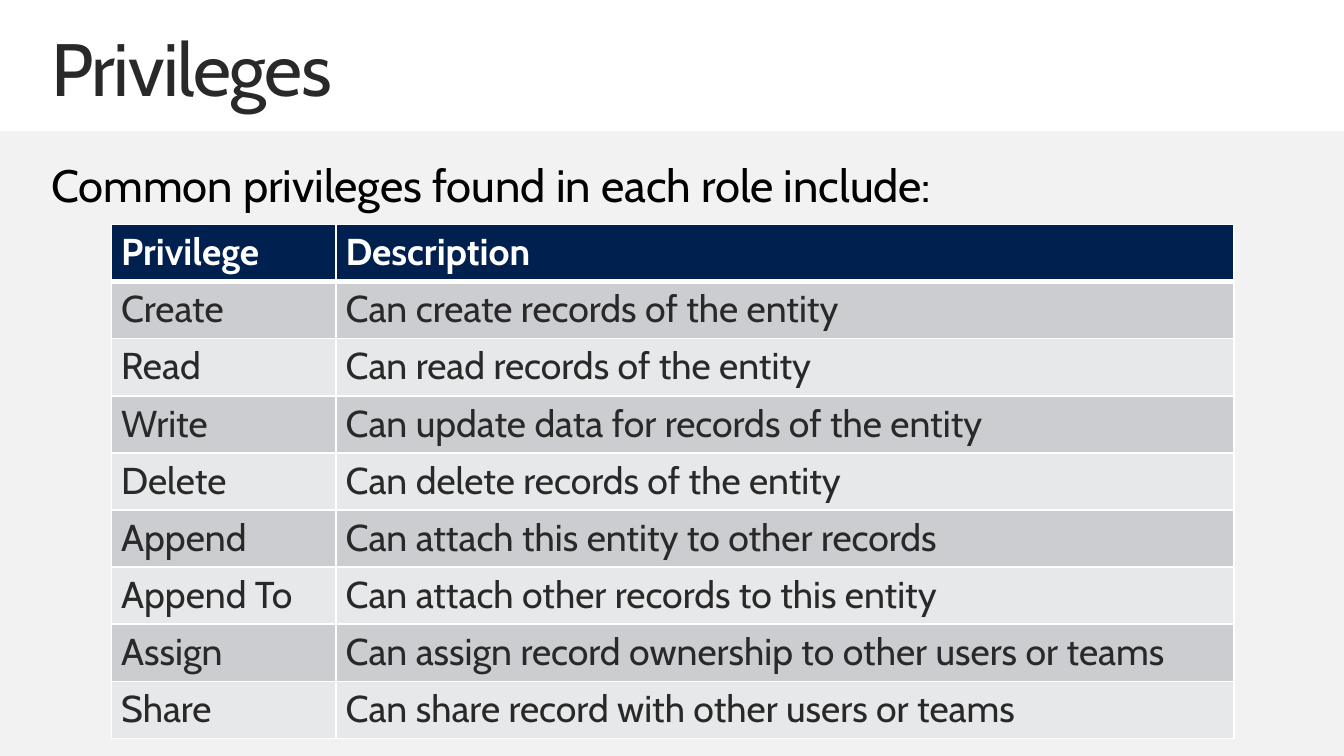
from dataclasses import dataclass
from typing import Any

from lxml import etree
from pptx import Presentation
from pptx import util as u
from pptx.dml.color import RGBColor
from pptx.enum import shapes, text
from pptx.oxml import ns

COLOURS = {
    "white": "FFFFFF",
    "panel": "F2F2F2",
    "ink": "292929",
    "black": "000000",
    "header": "002050",
    "odd": "CCCDD0",
    "even": "E7E8E9",
}
FONT = "Cabin"
COLUMN_WIDTHS = (4.24, 16.97)
ROW_HEIGHT = 1.08
CELL_MARGINS = {
    "margin_left": u.Cm(0.18),
    "margin_right": u.Cm(0.18),
    "margin_top": u.Cm(0.1),
    "margin_bottom": u.Cm(0.1),
}
BOX_FORMAT = {
    "word_wrap": True,
    "auto_size": text.MSO_AUTO_SIZE.NONE,
    "vertical_anchor": text.MSO_ANCHOR.TOP,
    "margin_left": u.Cm(0.41),
    "margin_right": u.Cm(0.41),
    "margin_top": 0,
    "margin_bottom": 0,
}


@dataclass(frozen=True)
class Heading:
    wording: str
    top: float
    height: float
    size: float
    colour: str
    line_spacing: float = 1.0
    tracking: int = 0


@dataclass(frozen=True)
class Privilege:
    name: str
    description: str


HEADINGS = (
    Heading("Privileges", 0.61, 1.52, 39.7, "ink", 0.9, -80),
    Heading("Common privileges found in each role include:", 2.97, 3.45, 24.3, "black"),
)
PRIVILEGES = (
    Privilege("Privilege", "Description"),
    Privilege("Create", "Can create records of the entity"),
    Privilege("Read", "Can read records of the entity"),
    Privilege("Write", "Can update data for records of the entity"),
    Privilege("Delete", "Can delete records of the entity"),
    Privilege("Append", "Can attach this entity to other records"),
    Privilege("Append To", "Can attach other records to this entity"),
    Privilege("Assign", "Can assign record ownership to other users or teams"),
    Privilege("Share", "Can share record with other users or teams"),
)


def apply_format(target: Any, values: dict[str, Any]) -> None:
    for name, value in values.items():
        setattr(target, name, value)


def colour_of(name: str) -> RGBColor:
    return RGBColor.from_string(COLOURS[name])


def write_text(paragraph: Any, wording: str, size: float, colour: str, bold: bool = False) -> Any:
    span = paragraph.add_run()
    span.text = wording
    apply_format(span.font, {"name": FONT, "size": u.Pt(size), "bold": bold})
    span.font.color.rgb = colour_of(colour)
    return span


def draw_panel(page: Any) -> None:
    panel = page.shapes.add_shape(
        shapes.MSO_SHAPE.RECTANGLE, 0, u.Cm(2.48), u.Cm(25.4), u.Cm(11.81)
    )
    panel.shadow.inherit = False
    panel.fill.solid()
    panel.fill.fore_color.rgb = colour_of("panel")
    panel.line.fill.background()


def draw_heading(page: Any, heading: Heading) -> None:
    box = page.shapes.add_textbox(
        u.Cm(0.56), u.Cm(heading.top), u.Cm(24.28), u.Cm(heading.height)
    )
    apply_format(box.text_frame, BOX_FORMAT)
    paragraph = box.text_frame.paragraphs[0]
    paragraph.line_spacing = heading.line_spacing
    span = write_text(paragraph, heading.wording, heading.size, heading.colour)
    if heading.tracking:
        span.font._element.set("spc", str(heading.tracking))


def draw_borders(cell: Any, widths: dict[str, float]) -> None:
    properties = cell._tc.get_or_add_tcPr()
    for position, (side, width) in enumerate(widths.items()):
        line = etree.Element(ns.qn(f"a:{side}"), w=str(u.Pt(width)))
        fill = etree.SubElement(line, ns.qn("a:solidFill"))
        etree.SubElement(fill, ns.qn("a:srgbClr"), val=COLOURS["white"])
        properties.insert(position, line)


def draw_cell(cell: Any, wording: str, row: int) -> None:
    is_header = row == 0
    fill = "header" if is_header else "odd" if row % 2 else "even"
    apply_format(cell, CELL_MARGINS)
    cell.fill.solid()
    cell.fill.fore_color.rgb = colour_of(fill)
    write_text(
        cell.text_frame.paragraphs[0], wording, 20, "white" if is_header else "ink", is_header
    )
    top = 3 if row == 1 else 1
    bottom = 3 if is_header else 1
    draw_borders(cell, {"lnL": 1, "lnR": 1, "lnT": top, "lnB": bottom})


def draw_table(page: Any, privileges: tuple[Privilege, ...]) -> None:
    table = page.shapes.add_table(
        len(privileges),
        len(COLUMN_WIDTHS),
        u.Cm(2.11),
        u.Cm(4.24),
        u.Cm(sum(COLUMN_WIDTHS)),
        u.Cm(ROW_HEIGHT * len(privileges)),
    ).table
    for column, width in zip(table.columns, COLUMN_WIDTHS):
        column.width = u.Cm(width)
    for row, privilege in enumerate(privileges):
        table.rows[row].height = u.Cm(ROW_HEIGHT)
        for column, wording in enumerate((privilege.name, privilege.description)):
            draw_cell(table.cell(row, column), wording, row)


def main() -> None:
    deck = Presentation()
    apply_format(deck, {"slide_width": u.Cm(25.4), "slide_height": u.Cm(14.29)})
    page = deck.slides.add_slide(deck.slide_layouts[6])
    page.background.fill.solid()
    page.background.fill.fore_color.rgb = colour_of("white")
    draw_panel(page)
    for heading in HEADINGS:
        draw_heading(page, heading)
    draw_table(page, PRIVILEGES)
    deck.save("out.pptx")


if __name__ == "__main__":
    main()
